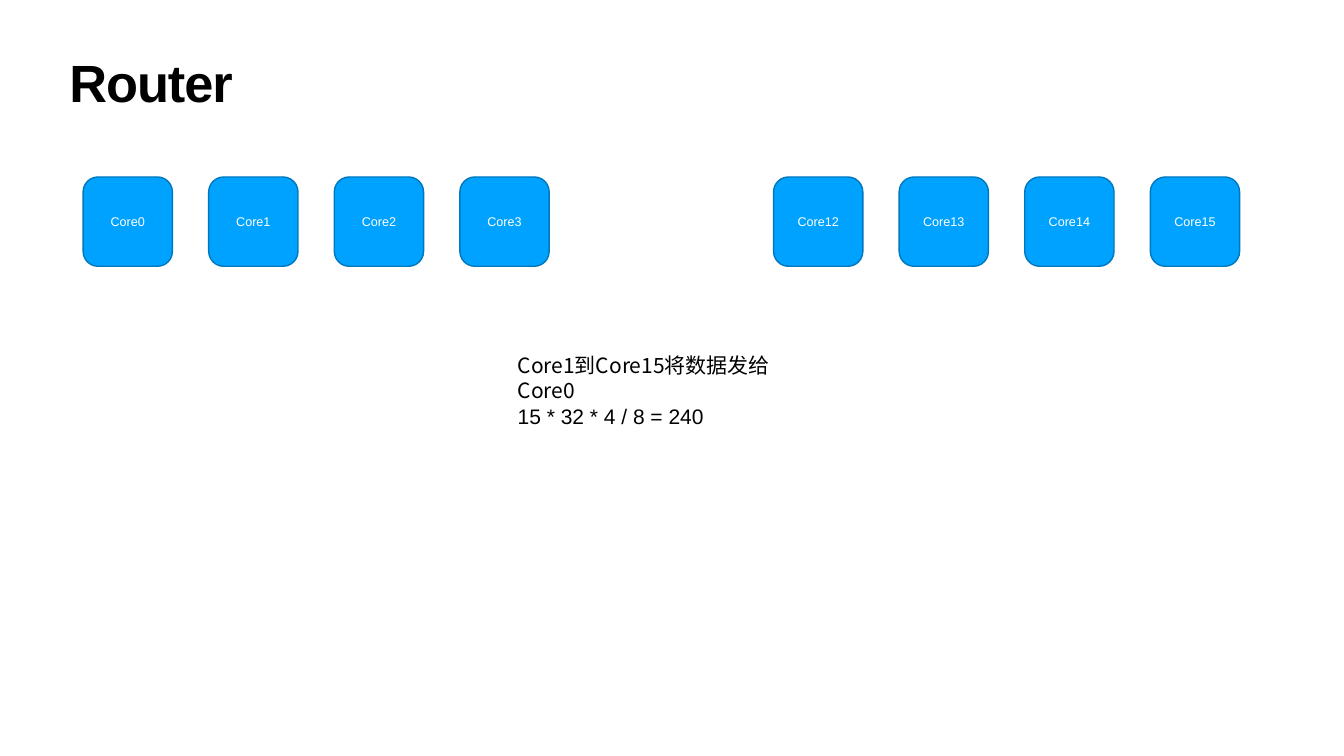
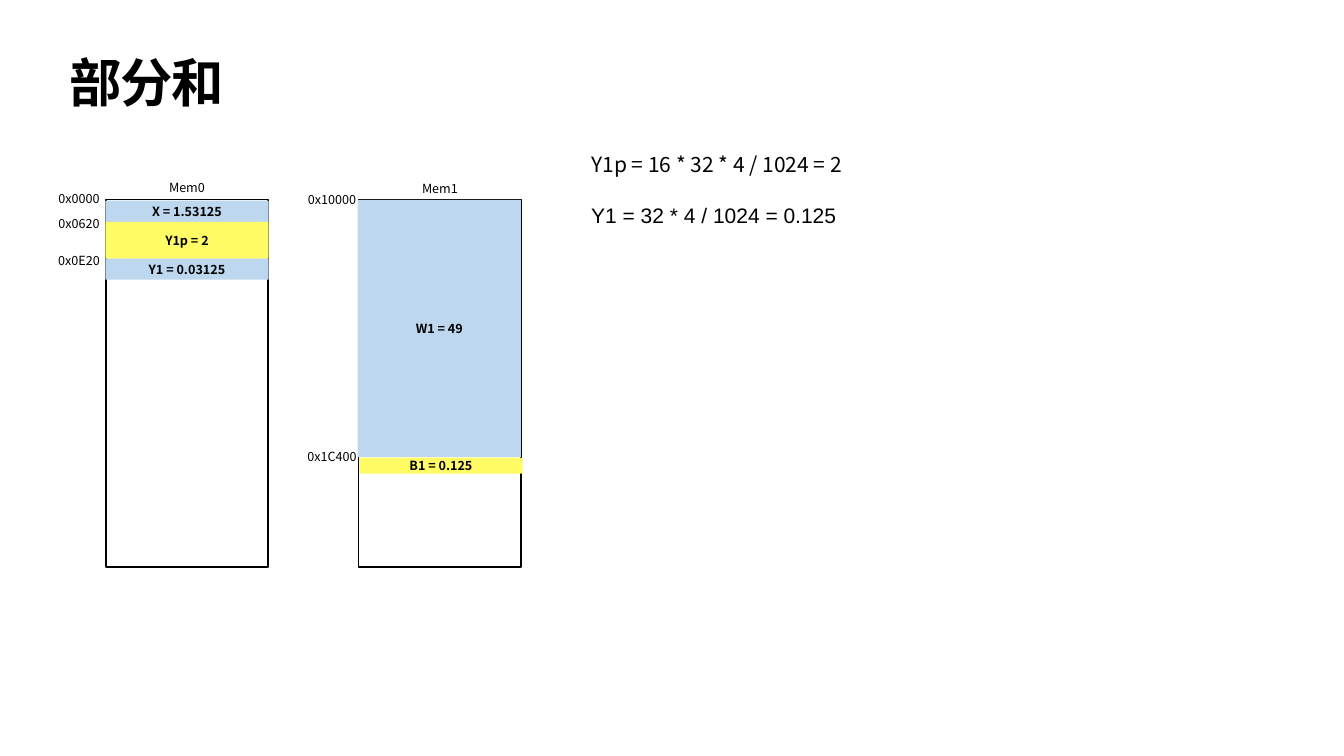
from dataclasses import dataclass

from lxml import etree
from pptx import Presentation
from pptx.dml.color import RGBColor
from pptx.enum.shapes import MSO_SHAPE
from pptx.enum.text import MSO_ANCHOR, MSO_AUTO_SIZE, PP_ALIGN
from pptx.oxml.ns import qn
from pptx.util import Cm, Pt

RECT, ROUND = MSO_SHAPE.RECTANGLE, MSO_SHAPE.ROUNDED_RECTANGLE
LEFT, CENTER = PP_ALIGN.LEFT, PP_ALIGN.CENTER
TOP, MIDDLE = MSO_ANCHOR.TOP, MSO_ANCHOR.MIDDLE
NO_FIT = MSO_AUTO_SIZE.NONE
TITLE_ONLY = 5

LATIN, CJK = "Arial", "Noto Sans CJK SC"
BLACK, WHITE = "000000", "FFFFFF"
CORE_FILL, CORE_LINE = "00A2FF", "0078BD"
BLUE, YELLOW = "BDD7EE", "FFFC66"

CORE_SIZE, CORE_STEP, CORE_TOP = 4.5, 6.33, 8.92
FRAME_TOP, FRAME_WIDTH, FRAME_HEIGHT = 10.06, 8.18, 18.52
BAND_WIDTH = 8.23
LABEL_WIDTH, LABEL_HEIGHT = 2.79, 1.02


@dataclass
class Line:
    text: str
    font: str
    before: float = 0


@dataclass
class Band:
    text: str
    left: float
    top: float
    height: float
    fill: str


@dataclass
class Label:
    text: str
    top: float


@dataclass
class Memory:
    name: str
    name_top: float
    left: float
    bands: list[Band]
    labels: list[Label]


CORES = [(4.19, 0), (38.99, 12)]

MEMORIES = [
    Memory("Mem1", 8.97, 18.08,
           [Band("W1 = 49", 18.03, 10.08, 12.95, BLUE),
            Band("B1 = 0.125", 18.11, 23.06, 0.81, YELLOW)],
           [Label("0x10000", 9.53), Label("0x1C400", 22.5)]),
    Memory("Mem0", 8.94, 5.33,
           [Band("X = 1.53125", 5.31, 10.11, 1.07, BLUE),
            Band("Y1p = 2", 5.31, 11.18, 1.85, YELLOW),
            Band("Y1 = 0.03125", 5.31, 13.03, 1.07, BLUE)],
           [Label("0x0000", 9.5), Label("0x0620", 10.77), Label("0x0E20", 12.6)]),
]


def rgb(color: str) -> RGBColor:
    return RGBColor.from_string(color)


def write(shape, lines: list[Line], size: float, color: str = BLACK,
          bold: bool = False, align=LEFT, anchor=TOP, inset: float = 0.13,
          leading: float = 1, tracking: float = 0) -> None:
    """Fill the shape with one paragraph per line."""
    frame = shape.text_frame
    frame.word_wrap = True
    frame.auto_size = NO_FIT
    frame.vertical_anchor = anchor
    frame.margin_left = frame.margin_right = Cm(inset)
    frame.margin_top = frame.margin_bottom = Cm(inset)
    for i, line in enumerate(lines):
        para = frame.add_paragraph() if i else frame.paragraphs[0]
        para.alignment = align
        para.line_spacing = leading
        para.space_before = Pt(line.before)
        run = para.add_run()
        run.text = line.text
        font = run.font
        font.name, font.size, font.bold = line.font, Pt(size), bold
        font.color.rgb = rgb(color)
        props = run._r.get_or_add_rPr()
        etree.SubElement(props, qn("a:ea")).set("typeface", CJK)
        if tracking:
            props.set("spc", str(round(tracking * 100)))


def add_text(slide, box: tuple, lines: list[Line], size: float, **style) -> None:
    write(slide.shapes.add_textbox(*map(Cm, box)), lines, size, **style)


def add_box(slide, kind, box: tuple, fill: str = "", line: str = "",
            width: float = 0):
    shape = slide.shapes.add_shape(kind, *map(Cm, box))
    shape.shadow.inherit = False
    if fill:
        shape.fill.solid()
        shape.fill.fore_color.rgb = rgb(fill)
    else:
        shape.fill.background()
    if line:
        shape.line.color.rgb = rgb(line)
        shape.line.width = Pt(width)
    else:
        shape.line.fill.background()
    return shape


def add_slide(deck, text: str):
    slide = deck.slides.add_slide(deck.slide_layouts[TITLE_ONLY])
    title = slide.shapes.title
    title.left, title.top, title.width, title.height = map(
        Cm, (3.35, 3.0, 61.04, 3.99))
    write(title, [Line(text, LATIN)], 74.8, bold=True, inset=0.15,
          leading=0.8, tracking=-1.5)
    return slide


def draw_cores(slide, left: float, first: int) -> None:
    """Draw a row of four cores, numbered from first."""
    for i in range(4):
        box = (left + i * CORE_STEP, CORE_TOP, CORE_SIZE, CORE_SIZE)
        core = add_box(slide, ROUND, box, CORE_FILL, CORE_LINE, 2)
        write(core, [Line(f"Core{first + i}", LATIN)], 18, color=WHITE,
              align=CENTER, anchor=MIDDLE)


def draw_memory(slide, memory: Memory) -> None:
    add_box(slide, RECT, (memory.left, FRAME_TOP, FRAME_WIDTH, FRAME_HEIGHT),
            line=BLACK, width=2.25)
    for band in memory.bands:
        shape = add_box(slide, RECT, (band.left, band.top, BAND_WIDTH, band.height),
                        band.fill)
        write(shape, [Line(band.text, CJK)], 18, bold=True, align=CENTER,
              anchor=MIDDLE)
    notes = [(memory.left + 2.7, Label(memory.name, memory.name_top))]
    notes += [(memory.left - 2.74, label) for label in memory.labels]
    for left, label in notes:
        add_text(slide, (left, label.top, LABEL_WIDTH, LABEL_HEIGHT),
                 [Line(label.text, CJK)], 18, align=CENTER)


def main() -> None:
    deck = Presentation()
    deck.slide_width, deck.slide_height = Cm(67.74), Cm(38.1)

    router = add_slide(deck, "Router")
    add_text(router, (25.96, 17.65, 15.8, 2.82),
             [Line("Core1到Core15将数据发给Core0", CJK),
              Line("15 * 32 * 4 / 8 = 240", LATIN)], 30)
    for left, first in CORES:
        draw_cores(router, left, first)

    sums = add_slide(deck, "部分和")
    for memory in MEMORIES:
        draw_memory(sums, memory)
    add_text(sums, (29.67, 7.52, 33.78, 4.09),
             [Line("Y1p = 16 * 32 * 4 / 1024 = 2", CJK),
              Line("Y1 = 32 * 4 / 1024 = 0.125", LATIN, before=36)], 30)

    deck.save("out.pptx")


if __name__ == "__main__":
    main()
